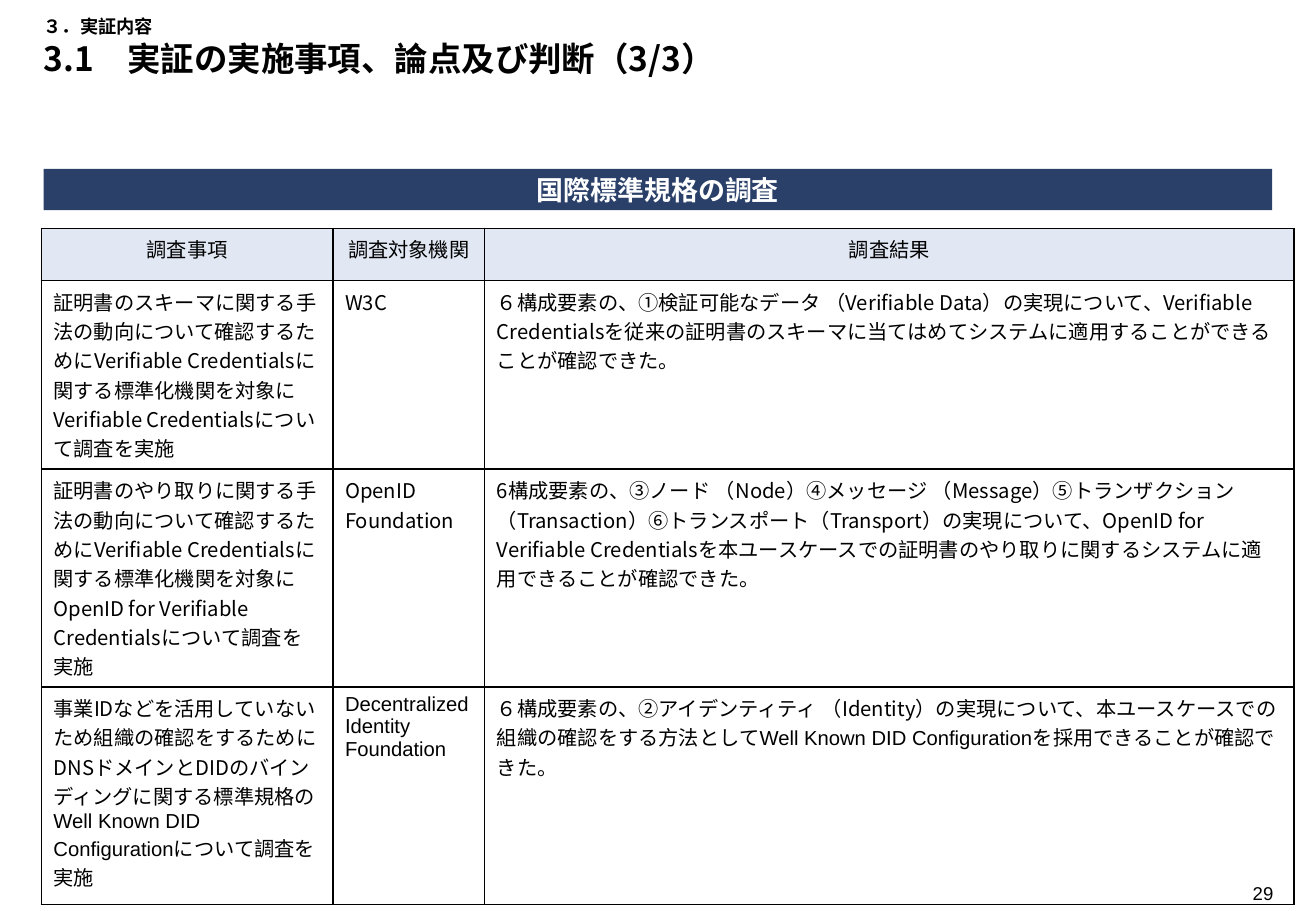
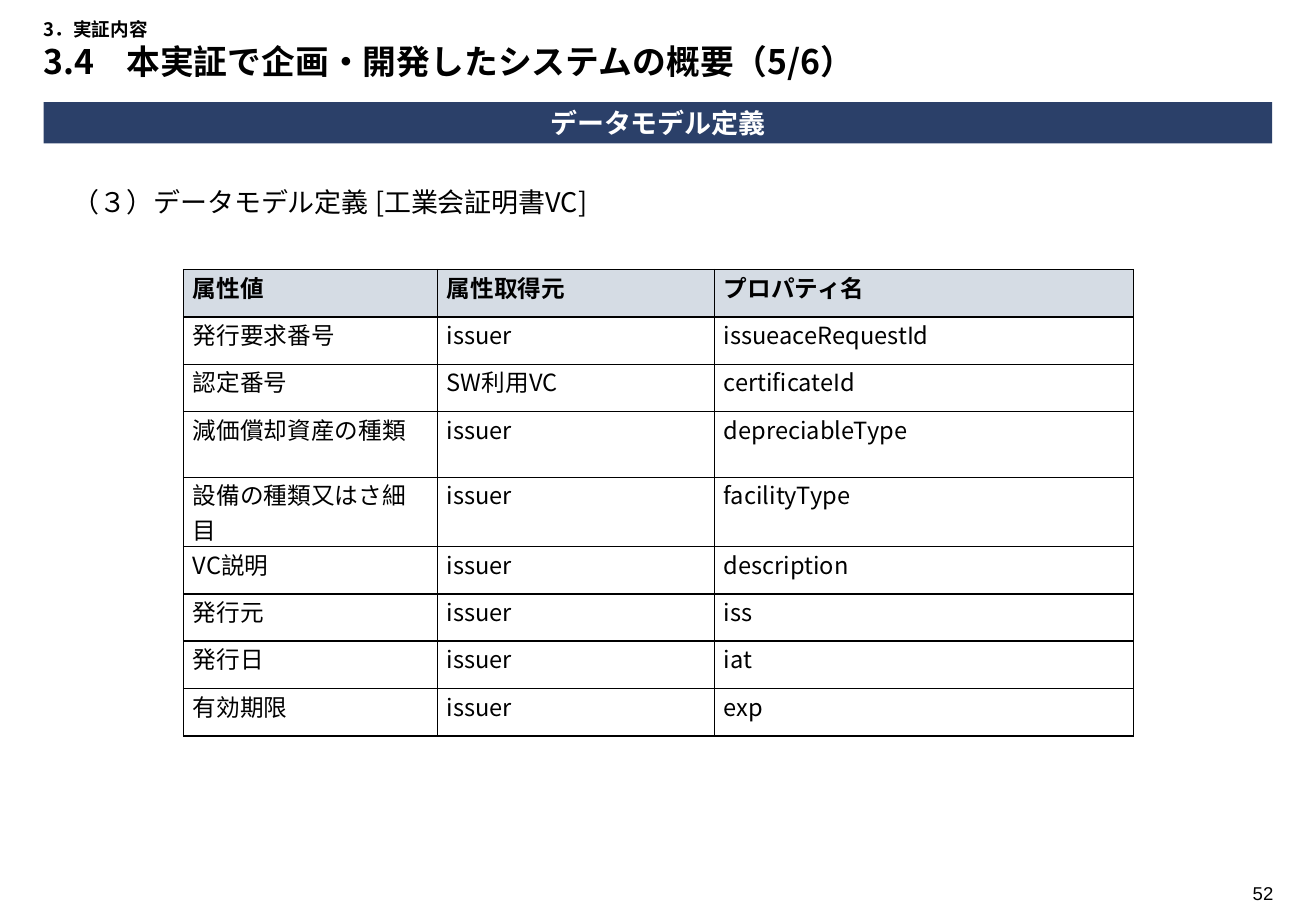
from lxml import etree
from pptx import Presentation
from pptx.dml.color import RGBColor
from pptx.enum.shapes import MSO_SHAPE
from pptx.enum.text import MSO_ANCHOR, PP_ALIGN
from pptx.oxml.ns import qn
from pptx.util import Inches, Pt

RECT = MSO_SHAPE.RECTANGLE
TOP, MIDDLE = MSO_ANCHOR.TOP, MSO_ANCHOR.MIDDLE
LEFT, CENTER, RIGHT = PP_ALIGN.LEFT, PP_ALIGN.CENTER, PP_ALIGN.RIGHT
BLACK = RGBColor(0x00, 0x00, 0x00)
WHITE = RGBColor(0xFF, 0xFF, 0xFF)
NAVY = RGBColor(0x2B, 0x40, 0x69)
PALE_BLUE = RGBColor(0xE1, 0xE7, 0xF3)
PALE_GREY = RGBColor(0xD5, 0xDC, 0xE4)
SANS, JP = "Arial", "Noto Sans CJK JP"
MARGIN, CONTENT = 3.32, 93.35

SURVEY = [
    ["調査事項", "調査対象機関", "調査結果"],
    ["証明書のスキーマに関する手法の動向について確認するためにVerifiable Credentialsに関する"
     "標準化機関を対象にVerifiable Credentialsについて調査を実施",
     "W3C",
     "６構成要素の、①検証可能なデータ （Verifiable Data）の実現について、Verifiable Credentialsを"
     "従来の証明書のスキーマに当てはめてシステムに適用することができることが確認できた。"],
    ["証明書のやり取りに関する手法の動向について確認するためにVerifiable Credentialsに関する"
     "標準化機関を対象にOpenID for Verifiable Credentialsについて調査を実施",
     "OpenID Foundation",
     "6構成要素の、③ノード （Node）④メッセージ （Message）⑤トランザクション （Transaction）"
     "⑥トランスポート（Transport）の実現について、OpenID for Verifiable Credentialsを"
     "本ユースケースでの証明書のやり取りに関するシステムに適用できることが確認できた。"],
    [[("事業IDなどを活用していないため組織の確認をするためにDNSドメインとDIDの"
       "バインディングに関する標準規格の", JP),
      ("Well Known DID Configurationについて調査を実施", SANS)],
     [("Decentralized Identity Foundation", SANS)],
     [("６構成要素の、②アイデンティティ （Identity）の実現について、本ユースケースでの", JP),
      ("組織の確認をする方法としてWell Known DID Configurationを採用できることが確認できた。", SANS)]],
]
ATTRIBUTES = [
    ["属性値", "属性取得元", "プロパティ名"],
    ["発行要求番号", "issuer", "issueaceRequestId"],
    ["認定番号", "SW利用VC", "certificateId"],
    ["減価償却資産の種類", "issuer", "depreciableType"],
    ["設備の種類又はさ細目", "issuer", "facilityType"],
    ["VC説明", "issuer", "description"],
    ["発行元", "issuer", "iss"],
    ["発行日", "issuer", "iat"],
    ["有効期限", "issuer", "exp"],
]


class Deck:
    """Holds the shared style and the current slide; lengths are percentages of the slide size."""

    def __init__(self):
        self.prs = Presentation()
        self.prs.slide_width, self.prs.slide_height = Inches(10.83), Inches(7.5)

    def x(self, share):
        return round(self.prs.slide_width * share / 100)

    def y(self, share):
        return round(self.prs.slide_height * share / 100)

    def box(self, left, top, width, height):
        return self.x(left), self.y(top), self.x(width), self.y(height)

    def style(self, p, size, font=JP, color=BLACK, bold=False, align=LEFT):
        p.alignment = align
        if size:
            p.font.size = Pt(size)
        p.font.name, p.font.bold = font, bold
        p.font.color.rgb = color
        props = p._p.pPr.find(qn("a:defRPr"))
        props.find(qn("a:latin")).addnext(etree.Element(qn("a:ea"), typeface=JP))

    def text(self, area, text, size, font=JP, align=LEFT, side=0.1, bold=False):
        tf = self.s.shapes.add_textbox(*self.box(*area)).text_frame
        tf.word_wrap, tf.vertical_anchor = True, TOP
        tf.margin_left = tf.margin_right = Inches(side)
        p = tf.paragraphs[0]
        p.text = text
        self.style(p, size, font, bold=bold, align=align)
        return p

    def slide(self, number, top, section, title, sizes):
        self.s = self.prs.slides.add_slide(self.prs.slide_layouts[6])
        self.text((92.33, 96.13, 4.43, 3.87), number, 11, SANS, RIGHT, 0)
        p = self.text((MARGIN, top, CONTENT, 6), "", None, side=0, bold=True)
        tabs = etree.Element(qn("a:tabLst"))
        etree.SubElement(tabs, qn("a:tab"), pos=str(Inches(0.68)), algn="l")
        p._p.pPr.find(qn("a:defRPr")).addprevious(tabs)
        for line, size in zip((section, title), sizes):
            if p.runs:
                p.add_line_break()
            r = p.add_run()
            r.text = line
            r.font.size = Pt(size)

    def banner(self, top, text):
        sp = self.s.shapes.add_shape(RECT, *self.box(MARGIN, top, CONTENT, 4.53))
        sp.shadow.inherit = False
        sp.fill.solid()
        sp.fill.fore_color.rgb = NAVY
        sp.line.fill.background()
        tf = sp.text_frame
        tf.word_wrap, tf.vertical_anchor = True, MIDDLE
        tf.margin_left = tf.margin_right = tf.margin_top = tf.margin_bottom = Inches(0.04)
        p = tf.paragraphs[0]
        p.text = text
        self.style(p, 16, SANS, WHITE, True, CENTER)

    def borders(self, cell):
        tc_pr = cell._tc.get_or_add_tcPr()
        for side in ("lnL", "lnR", "lnT", "lnB"):
            ln = etree.SubElement(tc_pr, qn(f"a:{side}"), w=str(Pt(1)))
            fill = etree.SubElement(ln, qn("a:solidFill"))
            etree.SubElement(fill, qn("a:srgbClr"), val=str(BLACK))

    def table(self, left, top, cols, rows, data, size, head_fill, head_bold, head_align, insets):
        area = self.box(left, top, sum(cols), sum(rows))
        table = self.s.shapes.add_table(len(rows), len(cols), *area).table
        table.first_row = table.horz_banding = False
        for column, width in zip(table.columns, cols):
            column.width = self.x(width)
        for row, height in zip(table.rows, rows):
            row.height = self.y(height)
        for i, values in enumerate(data):
            for j, value in enumerate(values):
                cell = table.cell(i, j)
                cell.margin_left = cell.margin_right = Pt(insets[0])
                cell.margin_top = cell.margin_bottom = Pt(insets[1])
                self.borders(cell)
                if i:
                    cell.fill.background()
                else:
                    cell.fill.solid()
                    cell.fill.fore_color.rgb = head_fill
                self.fill_cell(cell, value, size, head_bold and i == 0, LEFT if i else head_align)

    def fill_cell(self, cell, value, size, bold, align):
        parts = [(value, JP)] if isinstance(value, str) else value
        p = cell.text_frame.paragraphs[0]
        for text, font in parts:
            r = p.add_run()
            r.text = text
            if len(parts) > 1:
                r.font.name = font
        self.style(p, size, parts[0][1], bold=bold, align=align)


def main():
    deck = Deck()

    deck.slide("29", 1.07, "３．実証内容", "3.1　実証の実施事項、論点及び判断（3/3）", (10.8, 19.8))
    deck.banner(18.53, "国際標準規格の調査")
    deck.table(3.14, 25.07, [22.16, 11.54, 61.5], [5.73, 20.7, 23.9, 23.9], SURVEY,
               12, PALE_BLUE, False, CENTER, (7.2, 3.6))

    deck.slide("52", 1.33, "3．実証内容", "3.4\t本実証で企画・開発したシステムの概要（5/6）", (11, 20))
    deck.banner(11.2, "データモデル定義")
    deck.table(13.94, 29.6, [19.3, 21.05, 31.86], [5.2] * 3 + [7.2, 7.6] + [5.2] * 4, ATTRIBUTES,
               14, PALE_GREY, True, LEFT, (5.5, 0))
    deck.text((4.62, 19.73, 50.05, 4.93), "（３）データモデル定義 [工業会証明書VC]", 16)

    deck.prs.save("out.pptx")


if __name__ == "__main__":
    main()
